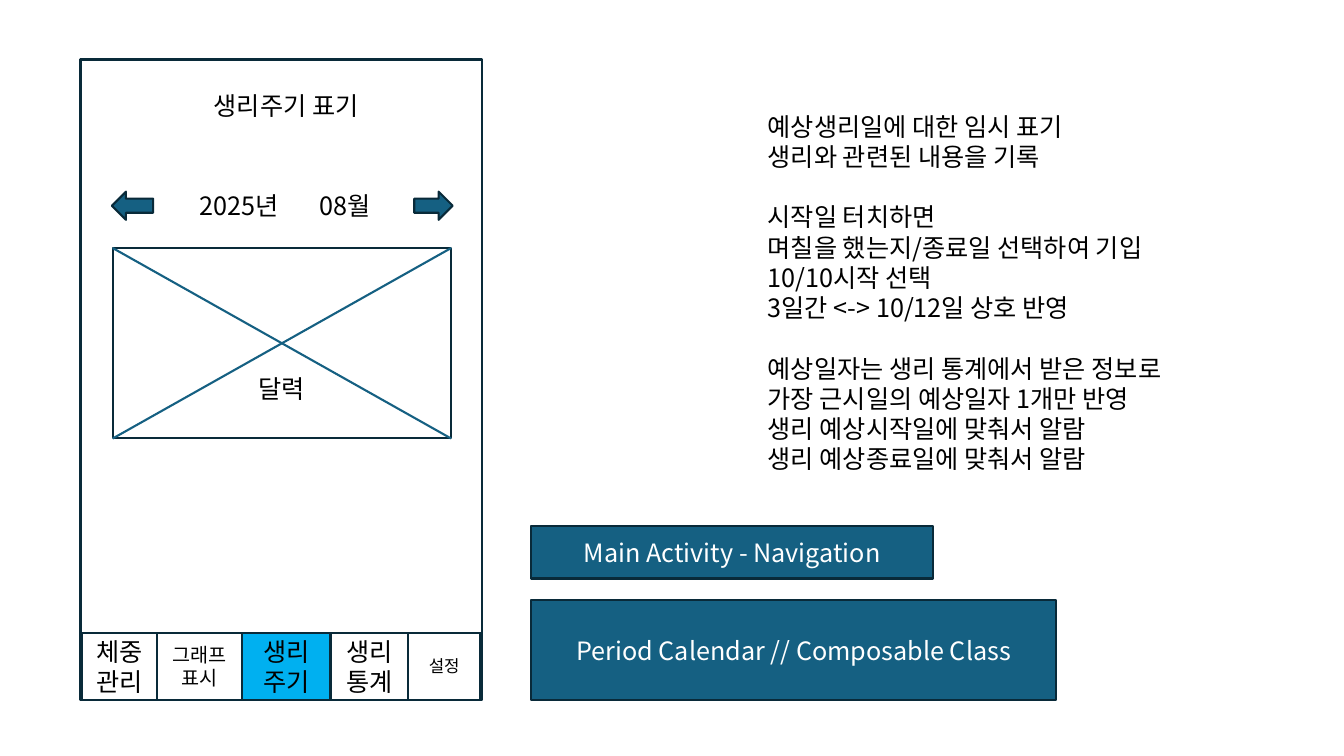
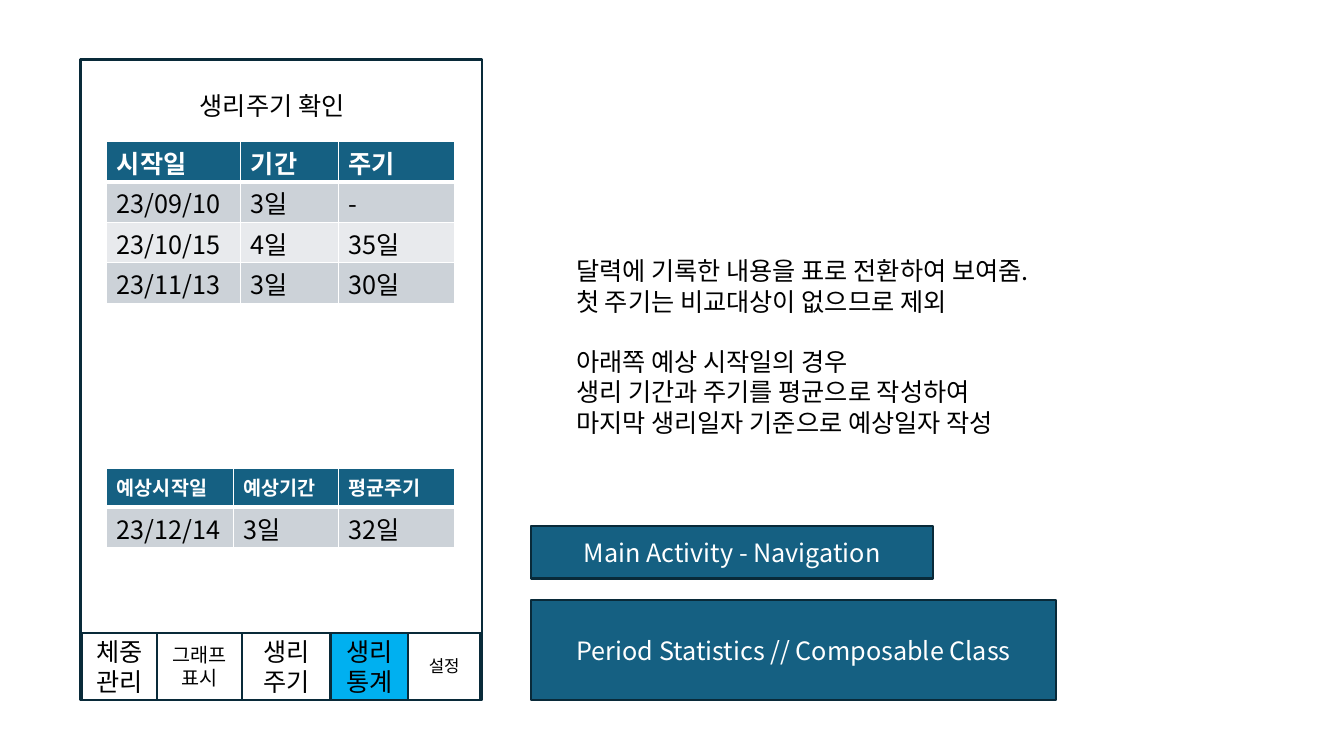
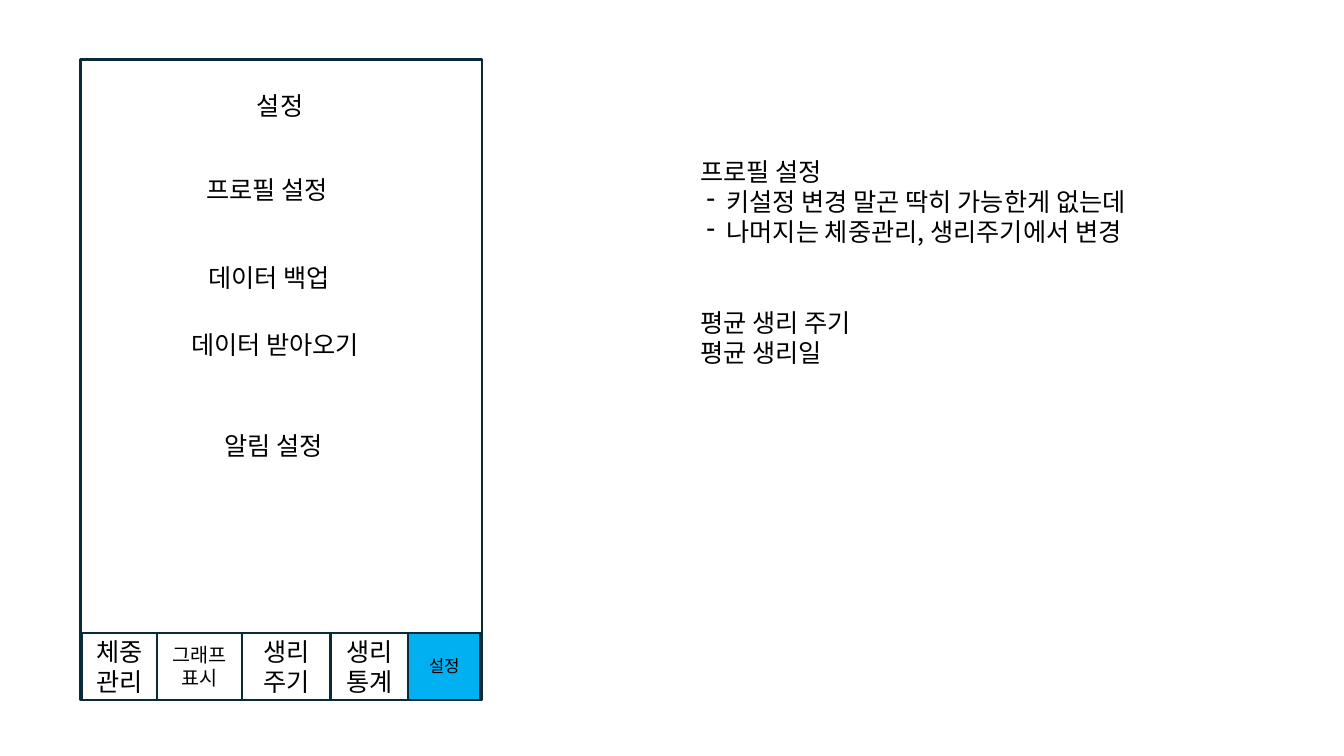
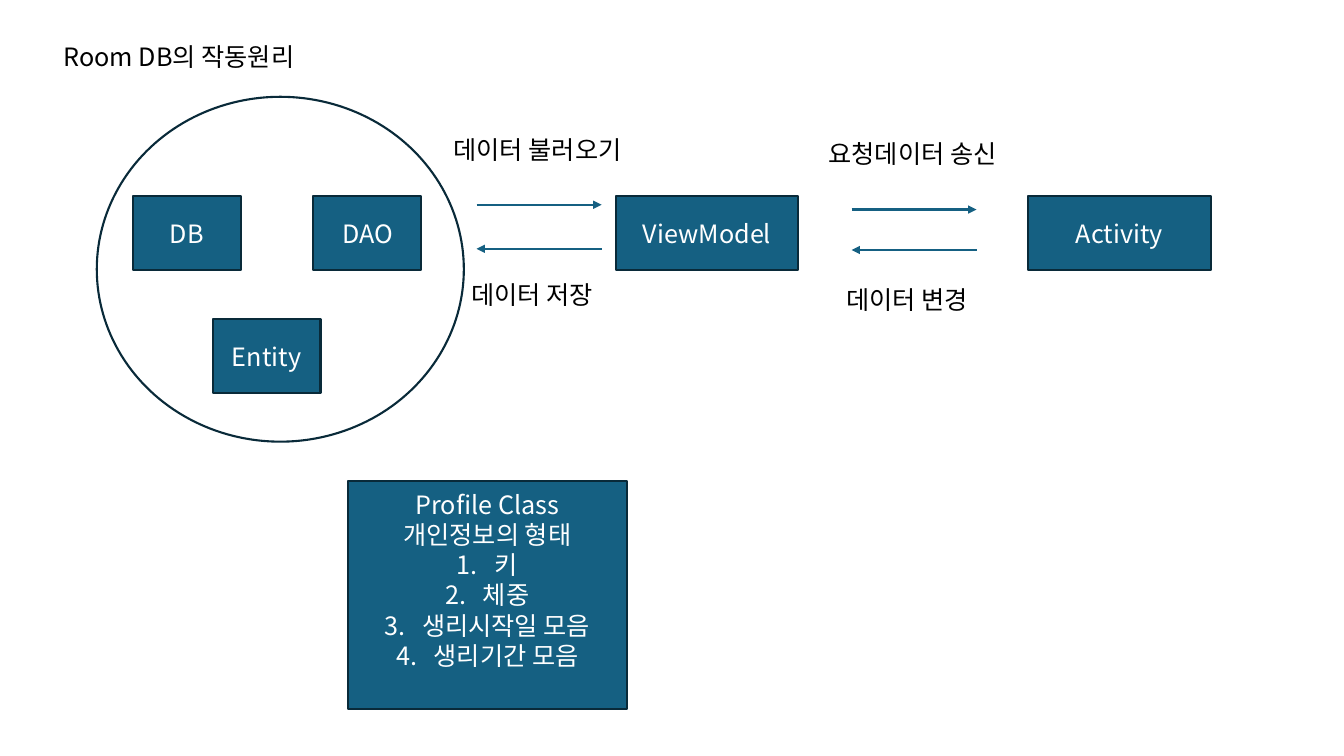
from itertools import accumulate

from lxml import etree
from pptx import Presentation
from pptx.dml.color import RGBColor
from pptx.enum.shapes import MSO_CONNECTOR, MSO_SHAPE
from pptx.enum.text import MSO_ANCHOR, MSO_AUTO_SIZE, PP_ALIGN
from pptx.oxml.ns import qn
from pptx.util import Cm, Pt

RECT, OVAL = MSO_SHAPE.RECTANGLE, MSO_SHAPE.OVAL
LEFT_ARROW, RIGHT_ARROW = MSO_SHAPE.LEFT_ARROW, MSO_SHAPE.RIGHT_ARROW
STRAIGHT = MSO_CONNECTOR.STRAIGHT
TOP, MIDDLE = MSO_ANCHOR.TOP, MSO_ANCHOR.MIDDLE
LEFT, CENTER = PP_ALIGN.LEFT, PP_ALIGN.CENTER
NO_FIT = MSO_AUTO_SIZE.NONE

TEAL = RGBColor(0x15, 0x60, 0x82)
NAVY = RGBColor(0x09, 0x2A, 0x39)
SKY = RGBColor(0x00, 0xB0, 0xF0)
DARK = RGBColor(0xCC, 0xD2, 0xD8)
PALE = RGBColor(0xE8, 0xEA, 0xED)
WHITE = RGBColor(0xFF, 0xFF, 0xFF)
BLACK = RGBColor(0x00, 0x00, 0x00)

FACE = "Noto Sans CJK KR"
SIZE = 18
LEAD = 1.2
PHONE = (2.03, 1.5, 10.13, 16.13)
TABS = (
    (1.9, 18, ("체중", "관리")),
    (2.15, 14, ("그래프", "표시")),
    (2.22, 18, ("생리", "주기")),
    (1.95, 18, ("생리", "통계")),
    (1.83, 12, ("설정",)),
)
TEXT = {"word_wrap": True, "auto_size": NO_FIT, "vertical_anchor": TOP}
BODY = {**TEXT, "vertical_anchor": MIDDLE}
CELL = {"margin_top": Cm(0.23), "margin_bottom": 0, "vertical_anchor": TOP}
DASH = ("buChar", "char", "-", 0.66, -0.5)
COUNT = ("buAutoNum", "type", "arabicPeriod", 0.95, -0.95)


def put(thing, values):
    for key, value in values.items():
        setattr(thing, key, value)


def at(box):
    return [Cm(n) for n in box]


def mark(para, kind, key, value, margin, indent):
    props = para._p.get_or_add_pPr()
    props.set("marL", str(Cm(margin)))
    props.set("indent", str(Cm(indent)))
    etree.SubElement(props, qn("a:" + kind)).set(key, value)


def write(frame, lines, color=BLACK, size=SIZE, align=LEFT, bold=False,
          gaps={}, marks={}):
    for i, line in enumerate(lines):
        para = frame.paragraphs[0] if i == 0 else frame.add_paragraph()
        put(para, {"alignment": align, "line_spacing": Pt(size * LEAD),
                   "space_before": Pt(gaps.get(i, 0) * size * LEAD)})
        run = para.add_run()
        run.text = line
        put(run.font, {"name": FACE, "size": Pt(size), "bold": bold})
        run.font.color.rgb = color
        east = etree.SubElement(run._r.get_or_add_rPr(), qn("a:ea"))
        east.set("typeface", FACE)
        if i in marks:
            mark(para, *marks[i])


def label(slide, box, lines, **style):
    frame = slide.shapes.add_textbox(*at(box)).text_frame
    put(frame, TEXT)
    write(frame, lines, **style)


def block(shapes, box, lines=(), fill=TEAL, kind=RECT, color=WHITE, **style):
    shape = shapes.add_shape(kind, *at(box))
    shape.shadow.inherit = False
    if fill is None:
        shape.fill.background()
    else:
        shape.fill.solid()
        shape.fill.fore_color.rgb = fill
    shape.line.color.rgb = NAVY
    shape.line.width = Pt(1.5)
    put(shape.text_frame, BODY)
    write(shape.text_frame, lines, color, align=CENTER, **style)
    return shape


def line(shapes, start, end, arrow=False):
    link = shapes.add_connector(STRAIGHT, *at(start + end))
    link.line.color.rgb = TEAL
    link.line.width = Pt(1.5)
    if arrow:
        tail = etree.SubElement(link.line._get_or_add_ln(), qn("a:tailEnd"))
        tail.set("type", "triangle")
    etree.SubElement(link._element.spPr, qn("a:effectLst"))


def page(deck, title, box):
    slide = deck.slides.add_slide(deck.slide_layouts[5])
    head = slide.shapes.title
    put(head, dict(zip(("left", "top", "width", "height"), at(box))))
    put(head.text_frame, TEXT)
    write(head.text_frame, [title])
    return slide


def phone(slide, box, active):
    x, y, w, h = box
    block(slide.shapes, box, fill=None)
    tall = 1.68
    lefts = accumulate((tab[0] for tab in TABS), initial=x + 0.03)
    for i, (left, (wide, size, lines)) in enumerate(zip(lefts, TABS)):
        block(slide.shapes, (left, y + h - tall, wide, tall), lines,
              SKY if i == active else None, color=BLACK, size=size)


def month(slide, box):
    x, y, w, h = box
    label(slide, (x + 1.93, y - 1.58, 2.54, 1.02), ["2025년"])
    label(slide, (x + 4.96, y - 1.58, 1.83, 1.02), ["08월"])
    block(slide.shapes, (x - 0.02, y - 1.42, 1.04, 0.71), kind=LEFT_ARROW)
    block(slide.shapes, (x + w - 0.93, y - 1.42, 0.97, 0.71), kind=RIGHT_ARROW)
    group = slide.shapes.add_group_shape().shapes
    frame = block(group, box, ["달력"], WHITE, color=BLACK).text_frame
    frame.margin_top = Cm(2.41)
    line(group, (x, y), (x + w, y + h))
    line(group, (x + w, y), (x, y + h))


def edge(cell, head):
    props = cell._tc.get_or_add_tcPr()
    for side in ("lnL", "lnR", "lnT", "lnB"):
        rule = etree.SubElement(props, qn("a:" + side))
        rule.set("w", str(Pt(3 if head and side == "lnB" else 1)))
        fill = etree.SubElement(rule, qn("a:solidFill"))
        etree.SubElement(fill, qn("a:srgbClr")).set("val", str(WHITE))


def grid(slide, spot, wides, talls, rows, size=SIZE):
    box = (*spot, sum(wides), sum(talls))
    table = slide.shapes.add_table(len(rows), len(wides), *at(box)).table
    for col, wide in zip(table.columns, wides):
        col.width = Cm(wide)
    for i, (row, tall, words) in enumerate(zip(table.rows, talls, rows)):
        row.height = Cm(tall)
        head = i == 0
        for cell, word in zip(row.cells, words):
            put(cell, CELL)
            edge(cell, head)
            cell.fill.solid()
            cell.fill.fore_color.rgb = TEAL if head else DARK if i % 2 else PALE
            write(cell.text_frame, [word], WHITE if head else BLACK,
                  size if head else SIZE, bold=head)


def code(slide, box, name):
    x, y, w, h = box
    block(slide.shapes, (x, y, 10.13, 1.32), ["Main Activity - Navigation"])
    block(slide.shapes, (x, y + h - 2.54, w, 2.54),
          [name + " // Composable Class"])


def flow(slide, box, forth, back):
    x, y, w, h = box
    line(slide.shapes, (x, y), (x + w, y), True)
    line(slide.shapes, (x + w, y + h), (x, y + h), True)
    label(slide, (x - 0.83, y - 1.91, 5.23, 1.02), [forth])
    label(slide, (x - 0.38, y + 1.75, 3.94, 1.02), [back])


def store(slide, box):
    x, y, w, h = box
    parts = (("DB", 0.91, 2.51), ("DAO", 5.46, 2.51), ("Entity", 2.92, 5.61))
    for name, left, top in parts:
        block(slide.shapes, (x + left, y + top, 2.72, 1.85), [name])
    block(slide.shapes, box, fill=None, kind=OVAL)


def cycle(deck):
    slide = page(deck, "생리주기 표기", (5.13, 2.16, 4.6, 1.02))
    phone(slide, PHONE, 2)
    x, y, w, h = PHONE
    month(slide, (x + 0.81, y + 4.75, 8.53, 4.8))
    label(slide, (19.1, 2.67, 11.68, 9.5), [
        "예상생리일에 대한 임시 표기",
        "생리와 관련된 내용을 기록",
        "시작일 터치하면",
        "며칠을 했는지/종료일 선택하여 기입",
        "10/10시작 선택",
        "3일간 <-> 10/12일 상호 반영",
        "예상일자는 생리 통계에서 받은 정보로",
        "가장 근시일의 예상일자 1개만 반영",
        "생리 예상시작일에 맞춰서 알람",
        "생리 예상종료일에 맞춰서 알람",
    ], gaps={2: 1, 6: 1})
    code(slide, (13.39, 13.26, 13.23, 4.39), "Period Calendar")


def stats(deck):
    slide = page(deck, "생리주기 확인", (4.78, 2.16, 4.6, 1.02))
    phone(slide, PHONE, 3)
    x, y, w, h = PHONE
    grid(slide, (x + 0.66, y + 2.06), (3.38, 2.46, 2.92), [1.02] * 4, (
        ("시작일", "기간", "주기"),
        ("23/09/10", "3일", "-"),
        ("23/10/15", "4일", "35일"),
        ("23/11/13", "3일", "30일"),
    ))
    grid(slide, (x + 0.66, y + 10.31), (3.2, 2.64, 2.92), (0.97, 1.02), (
        ("예상시작일", "예상기간", "평균주기"),
        ("23/12/14", "3일", "32일"),
    ), 14)
    label(slide, (14.27, 6.32, 13.34, 4.88), [
        "달력에 기록한 내용을 표로 전환하여 보여줌.",
        "첫 주기는 비교대상이 없으므로 제외",
        "아래쪽 예상 시작일의 경우",
        "생리 기간과 주기를 평균으로 작성하여",
        "마지막 생리일자 기준으로 예상일자 작성",
    ], gaps={2: 1})
    code(slide, (13.39, 13.26, 13.23, 4.39), "Period Statistics")


def setup(deck):
    slide = page(deck, "설정", (6.22, 2.16, 1.8, 1.02))
    phone(slide, PHONE, 4)
    x, y, w, h = PHONE
    items = (
        ("프로필 설정", 2.92, 2.77, 3.94),
        ("데이터 백업", 2.97, 4.98, 3.94),
        ("데이터 받아오기", 2.54, 6.68, 5.23),
        ("알림 설정", 3.38, 9.22, 3.3),
    )
    for name, left, top, wide in items:
        label(slide, (x + left, y + top, wide, 1.02), [name])
    label(slide, (17.4, 3.81, 12.62, 7.19), [
        "프로필 설정",
        "키설정 변경 말곤 딱히 가능한게 없는데",
        "나머지는 체중관리, 생리주기에서 변경",
        "평균 생리 주기",
        "평균 생리일",
    ], gaps={3: 2}, marks={1: DASH, 2: DASH})


def room(deck):
    slide = page(deck, "Room DB의 작동원리", (1.35, 0.91, 6.7, 1.02))
    store(slide, (2.44, 2.44, 9.25, 8.69))
    for name, left in (("ViewModel", 15.52), ("Activity", 25.91)):
        block(slide.shapes, (left, 4.95, 4.6, 1.85), [name])
    flow(slide, (12.01, 5.16, 3.15, 1.11), "데이터 불러오기", "데이터 저장")
    flow(slide, (21.46, 5.28, 3.15, 1.02), "요청데이터 송신", "데이터 변경")
    lines = ["Profile Class", "개인정보의 형태", "키", "체중",
             "생리시작일 모음", "생리기간 모음"]
    card = block(slide.shapes, (8.76, 12.12, 7.04, 5.74), lines,
                 marks={i: COUNT for i in range(2, 6)})
    card.text_frame.margin_bottom = Cm(0.89)


def main():
    deck = Presentation()
    put(deck, {"slide_width": Cm(33.87), "slide_height": Cm(19.05)})
    for make in (cycle, stats, setup, room):
        make(deck)
    deck.save("out.pptx")


if __name__ == "__main__":
    main()
